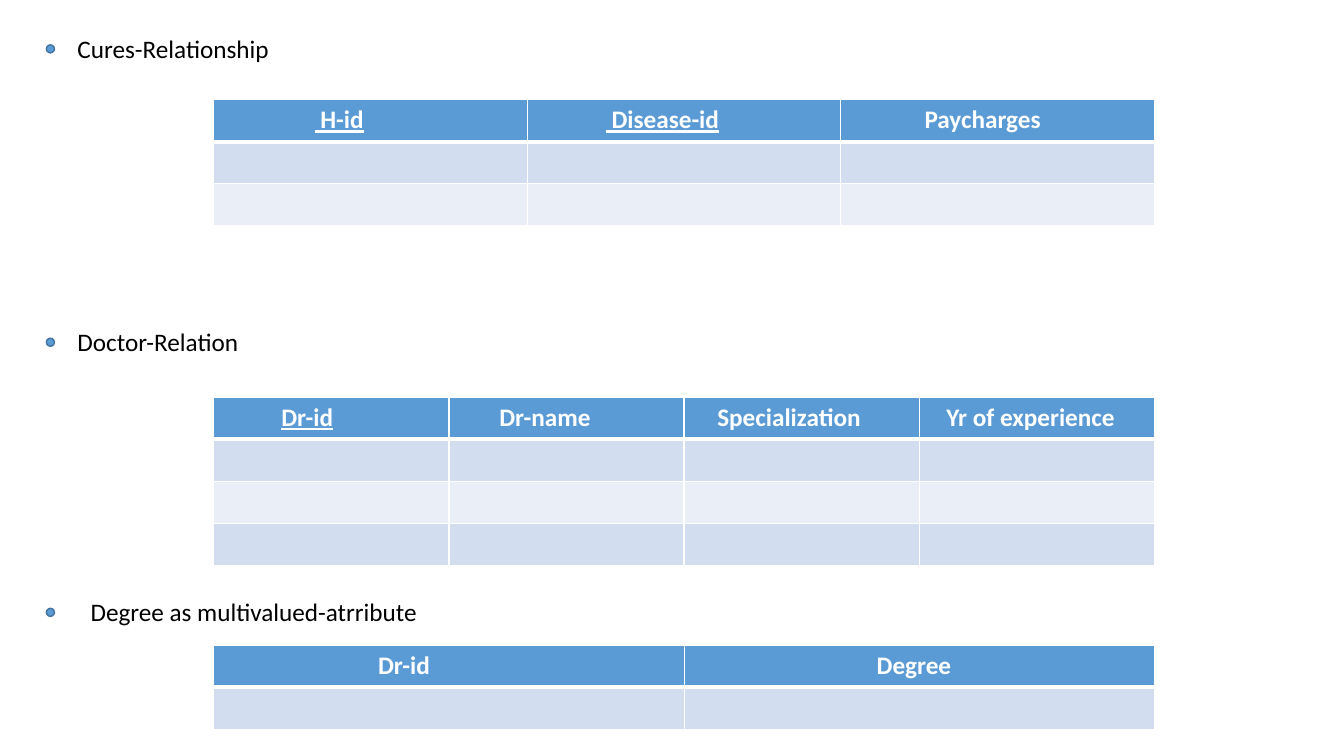
from lxml.etree import SubElement
from pptx import Presentation
from pptx.dml.color import RGBColor
from pptx.enum.shapes import MSO_SHAPE
from pptx.enum.text import MSO_ANCHOR
from pptx.oxml.ns import qn
from pptx.util import Inches, Pt

COLORS = {"header": "5B9BD5", "outline": "43739E", "odd": "D2DEEF",
          "even": "EAEFF7", "white": "FFFFFF", "black": "000000"}
LABEL = {"name": "Calibri", "size": Pt(18)}
HEADING = {**LABEL, "bold": True}
ROW_H = 0.417


def color(key):
    return RGBColor.from_string(COLORS[key])


def add_run(p, text, formats, key):
    r = p.add_run()
    r.text = text
    for name, value in formats.items():
        setattr(r.font, name, value)
    r.font.color.rgb = color(key)


def add_bullet(s, x, y):
    sp = s.shapes.add_shape(MSO_SHAPE.OVAL, Inches(x), Inches(y), Inches(0.08), Inches(0.08))
    sp.shadow.inherit = False
    sp.fill.solid()
    sp.fill.fore_color.rgb = color("header")
    sp.line.color.rgb = color("outline")
    sp.line.width = Pt(1)


def add_label(s, x, y, w, text):
    sp = s.shapes.add_textbox(Inches(x), Inches(y), Inches(w), Inches(0.4))
    sp.text_frame.word_wrap = False
    add_run(sp.text_frame.paragraphs[0], text, LABEL, "black")


def set_borders(cell, widths):
    tcPr = cell._tc.get_or_add_tcPr()
    for side, width in zip("LRTB", widths):
        ln = SubElement(tcPr, qn(f"a:ln{side}"), w=str(Pt(width)))
        fill = SubElement(ln, qn("a:solidFill"))
        SubElement(fill, qn("a:srgbClr"), val=COLORS["white"])


def set_tab(p, position):
    tabs = SubElement(p._p.get_or_add_pPr(), qn("a:tabLst"))
    SubElement(tabs, qn("a:tab"), pos=str(Inches(position)), algn="l")


def add_relation(s, x, y, w, headings, body_rows):
    rows, cols = body_rows + 1, len(headings)
    tbl = s.shapes.add_table(rows, cols, Inches(x), Inches(y),
                             Inches(w), Inches(ROW_H * rows)).table
    for row in tbl.rows:
        row.height = Inches(ROW_H)
    for i in range(rows):
        for j in range(cols):
            cell = tbl.cell(i, j)
            set_borders(cell, (1, 1, 3 if i == 1 else 1, 3 if i == 0 else 1))
            cell.fill.solid()
            cell.fill.fore_color.rgb = color("header" if i == 0 else "odd" if i % 2 else "even")
    for cell, (text, indent, key) in zip(tbl.rows[0].cells, headings):
        cell.margin_left = Inches(indent)
        cell.vertical_anchor = MSO_ANCHOR.TOP
        p = cell.text_frame.paragraphs[0]
        if text.startswith("\t"):
            set_tab(p, 0.34)
        add_run(p, text, {**HEADING, "underline": key}, "white")


def add_section(s, box, label, label_x, label_w, table_dy, headings, body_rows):
    x, y, w = box
    add_bullet(s, x, y + 0.165)
    add_label(s, x + label_x, y, label_w, label)
    add_relation(s, x + 1.66, y + table_dy, w - 1.66, headings, body_rows)


SECTIONS = [
    (0.28, "Cures-Relationship", 0.21, 2.1, 0.71,
     [(" H-id", 1.0, True), (" Disease-id", 0.78, True), ("Paycharges", 0.83, False)], 2),
    (3.19, "Doctor-Relation", 0.21, 1.8, 0.75,
     [("\tDr-id", 0.33, True), ("Dr-name", 0.5, False),
      ("Specialization", 0.33, False), ("Yr of experience", 0.27, False)], 3),
    (5.87, "Degree as multivalued-atrribute", 0.34, 3.44, 0.53,
     [("Dr-id", 1.63, False), ("Degree", 1.91, False)], 1),
]

prs = Presentation()
prs.slide_width, prs.slide_height = Inches(13.33), Inches(7.5)
s = prs.slides.add_slide(prs.slide_layouts[6])
for top, *section in SECTIONS:
    add_section(s, (0.46, top, 10.99), *section)
prs.save("out.pptx")
